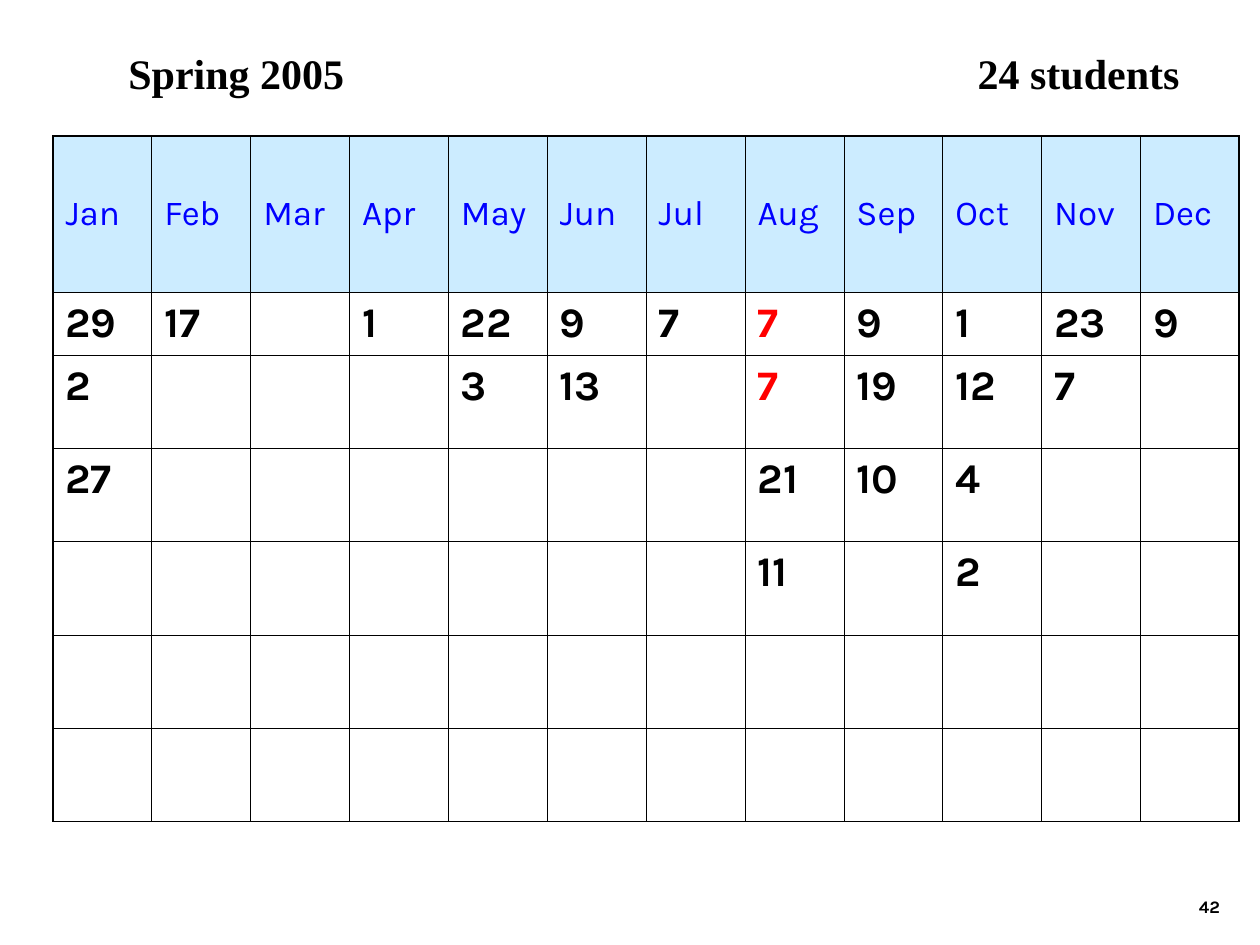
from dataclasses import dataclass

from lxml import etree
from pptx import Presentation
from pptx.dml.color import RGBColor
from pptx.enum.text import MSO_ANCHOR, PP_ALIGN
from pptx.oxml.ns import qn
from pptx.util import Inches, Pt

BOTTOM = MSO_ANCHOR.BOTTOM
MIDDLE = MSO_ANCHOR.MIDDLE
TOP = MSO_ANCHOR.TOP
LEFT = PP_ALIGN.LEFT
RIGHT = PP_ALIGN.RIGHT


@dataclass(frozen=True)
class Theme:
    black: str = "000000"
    blue: str = "0000FF"
    red: str = "FF0000"
    header_fill: str = "CCECFF"
    heading_font: str = "Times New Roman"
    body_font: str = "Karla"
    heading_size: int = 24
    month_size: int = 20
    count_size: int = 24
    number_size: int = 10
    inner_line: float = 0.45
    outer_line: float = 1.08


THEME = Theme()

MONTHS = ["Jan", "Feb", "Mar", "Apr", "May", "Jun",
          "Jul", "Aug", "Sep", "Oct", "Nov", "Dec"]
DAYS = {
    "Jan": [29, 2, 27],
    "Feb": [17],
    "Apr": [1],
    "May": [22, 3],
    "Jun": [9, 13],
    "Jul": [7],
    "Aug": [7, 7, 21, 11],
    "Sep": [9, 19, 10],
    "Oct": [1, 12, 4, 2],
    "Nov": [23, 7],
    "Dec": [9],
}
SHARED_MONTH, SHARED_DAY = "Aug", 7
ROW_HEIGHTS = [1.24, 0.5] + [0.74] * 5
COLUMN_WIDTH = 0.785


def add_span(para, text, font, size, color, bold=True):
    span = para.add_run()
    span.text = text
    span.font.name = font
    span.font.size = Pt(size)
    span.font.bold = bold
    span.font.color.rgb = RGBColor.from_string(color)


def add_text_box(page, left, top, width, height, anchor=TOP, align=LEFT):
    """Add a wrapping text box and return its first paragraph."""
    box = page.shapes.add_textbox(Inches(left), Inches(top), Inches(width), Inches(height))
    box.text_frame.word_wrap = True
    box.text_frame.vertical_anchor = anchor
    para = box.text_frame.paragraphs[0]
    para.alignment = align
    return para


def add_tab_stop(para, position):
    tabs = etree.SubElement(para._p.get_or_add_pPr(), qn("a:tabLst"))
    etree.SubElement(tabs, qn("a:tab"), pos=str(Inches(position)), algn="l")


def set_borders(cell, outer_sides):
    """Draw all four sides, with the heavier line on the table's outer edge."""
    properties = cell._tc.get_or_add_tcPr()
    for index, side in enumerate(("lnL", "lnR", "lnT", "lnB")):
        width = THEME.outer_line if side in outer_sides else THEME.inner_line
        line = etree.Element(qn(f"a:{side}"), w=str(Pt(width)))
        fill = etree.SubElement(line, qn("a:solidFill"))
        etree.SubElement(fill, qn("a:srgbClr"), val=THEME.black)
        properties.insert(index, line)


def fill_month_cell(cell, month):
    cell.fill.solid()
    cell.fill.fore_color.rgb = RGBColor.from_string(THEME.header_fill)
    cell.vertical_anchor = MIDDLE
    add_span(cell.text_frame.paragraphs[0], month, THEME.body_font,
             THEME.month_size, THEME.blue, bold=False)


def fill_day_cell(cell, month, row):
    cell.fill.background()
    days = DAYS.get(month, [])
    if row <= len(days):
        day = days[row - 1]
        color = THEME.red if (month, day) == (SHARED_MONTH, SHARED_DAY) else THEME.black
        add_span(cell.text_frame.paragraphs[0], str(day), THEME.body_font,
                 THEME.count_size, color)


def add_birthday_table(page):
    rows, columns = len(ROW_HEIGHTS), len(MONTHS)
    table = page.shapes.add_table(
        rows, columns, Inches(0.42), Inches(1.08),
        Inches(COLUMN_WIDTH * columns), Inches(sum(ROW_HEIGHTS))).table
    table.first_row = False
    table.horz_banding = False
    for row, height in enumerate(ROW_HEIGHTS):
        table.rows[row].height = Inches(height)
    for column, month in enumerate(MONTHS):
        table.columns[column].width = Inches(COLUMN_WIDTH)
        for row in range(rows):
            cell = table.cell(row, column)
            if row == 0:
                fill_month_cell(cell, month)
            else:
                fill_day_cell(cell, month, row)
            edges = {"lnL": column == 0, "lnR": column == columns - 1,
                     "lnT": row == 0, "lnB": row == rows - 1}
            set_borders(cell, {side for side, outer in edges.items() if outer})


def add_heading(page):
    para = add_text_box(page, 0.92, 0.33, 8.58, 0.5, anchor=MIDDLE)
    add_tab_stop(para, 6.74)
    add_span(para, "Spring 2005\t24 students", THEME.heading_font,
             THEME.heading_size, THEME.black)


def add_page_number(page):
    para = add_text_box(page, 7.7, 6.83, 2.08, 0.5, anchor=BOTTOM, align=RIGHT)
    add_span(para, "42", THEME.body_font, THEME.number_size, THEME.black)


def main():
    deck = Presentation()
    deck.slide_width, deck.slide_height = Inches(10), Inches(7.5)
    page = deck.slides.add_slide(deck.slide_layouts[6])
    add_page_number(page)
    add_heading(page)
    add_birthday_table(page)
    deck.save("out.pptx")


if __name__ == "__main__":
    main()
